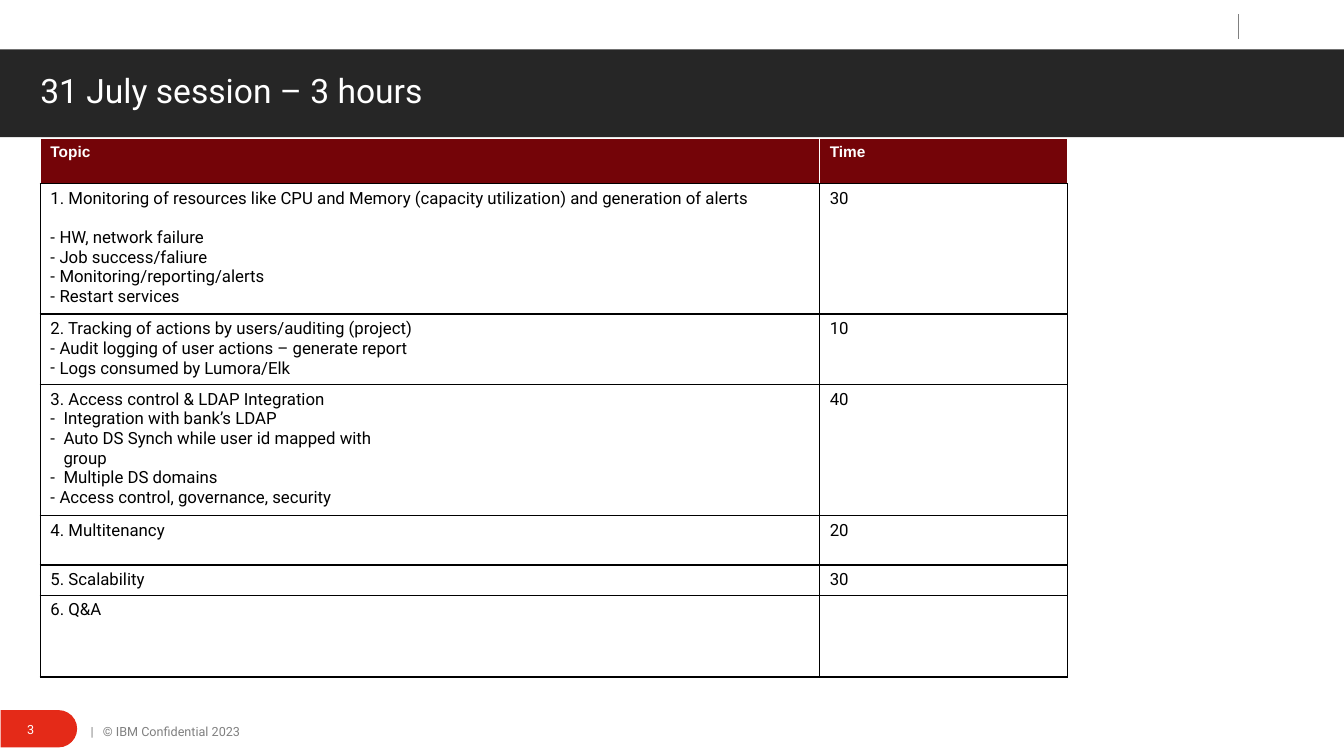
from dataclasses import dataclass

from lxml.etree import SubElement
from pptx import Presentation
from pptx.dml.color import RGBColor
from pptx.enum.shapes import MSO_CONNECTOR, MSO_SHAPE
from pptx.enum.text import MSO_ANCHOR
from pptx.oxml.ns import qn
from pptx.util import Inches, Pt


@dataclass(frozen=True)
class Theme:
    white: str = "FFFFFF"
    black: str = "000000"
    grey: str = "808080"
    band: str = "262626"
    header: str = "740408"
    accent: str = "E42A18"
    font: str = "Roboto"
    header_font: str = "Arial"
    title_size: float = 24
    body_size: float = 12
    header_size: float = 11
    footer_size: float = 9


@dataclass(frozen=True)
class Line:
    text: str
    hang: float = 0  # width of the dash column; 0 means no dash
    gap_after: float = 0


@dataclass(frozen=True)
class Topic:
    lines: tuple[Line, ...]
    time: str
    height: float


THEME = Theme()
NARROW, WIDE = 0.09, 0.13
COLUMN_WIDTHS = (7.73, 2.46)
HEADER_HEIGHT = 0.45

TOPICS = (
    Topic((Line("1. Monitoring of resources like CPU and Memory (capacity utilization) "
                "and generation of alerts", gap_after=14),
           Line("HW, network failure", NARROW),
           Line("Job success/faliure", NARROW),
           Line("Monitoring/reporting/alerts", NARROW),
           Line("Restart services", NARROW)), "30", 1.29),
    Topic((Line("2. Tracking of actions by users/auditing (project)"),
           Line("Audit logging of user actions – generate report", NARROW),
           Line("Logs consumed by Lumora/Elk", NARROW)), "10", 0.68),
    Topic((Line("3. Access control & LDAP Integration"),
           Line("Integration with bank’s LDAP", WIDE),
           Line("Auto DS Synch while user id mapped with\vgroup", WIDE),
           Line("Multiple DS domains", WIDE),
           Line("Access control, governance, security", NARROW)), "40", 1.27),
    Topic((Line("4. Multitenancy"),), "20", 0.49),
    Topic((Line("5. Scalability"),), "30", 0.29),
    Topic((Line("6. Q&A"),), "", 0.81),
)


def rgb(color: str) -> RGBColor:
    return RGBColor.from_string(color)


def write(frame, *lines: Line, size: float = THEME.body_size, color: str = THEME.black,
          font: str = THEME.font, bold: bool = False, spacing: float = 1,
          tab: float = 0) -> None:
    """Fill a text frame with lines, some of them dashed, in one format."""
    for index, line in enumerate(lines):
        paragraph = frame.paragraphs[0] if index == 0 else frame.add_paragraph()
        paragraph.text = line.text
        paragraph.line_spacing = spacing
        paragraph.space_after = Pt(line.gap_after)
        properties = paragraph._p.get_or_add_pPr()
        if line.hang:
            properties.set("marL", str(Inches(line.hang)))
            properties.set("indent", str(-Inches(line.hang)))
            SubElement(properties, qn("a:buFont"), typeface=font)
            SubElement(properties, qn("a:buChar"), char="-")
        if tab:
            stops = SubElement(properties, qn("a:tabLst"))
            SubElement(stops, qn("a:tab"), pos=str(Inches(tab)), algn="l")
        paragraph.font.size = Pt(size)
        for run in paragraph.runs:
            run.font.size = Pt(size)
            run.font.name = font
            run.font.bold = bold
            run.font.color.rgb = rgb(color)


def add_text(slide, text: str, left: float, top: float, width: float, height: float,
             inset: float = 0, anchor=MSO_ANCHOR.MIDDLE, **text_format) -> None:
    frame = slide.shapes.add_textbox(Inches(left), Inches(top),
                                     Inches(width), Inches(height)).text_frame
    frame.word_wrap = True
    frame.vertical_anchor = anchor
    frame.margin_left = Inches(inset)
    write(frame, Line(text), **text_format)


def add_block(slide, kind: MSO_SHAPE, left: float, top: float, width: float,
              height: float, color: str):
    block = slide.shapes.add_shape(kind, Inches(left), Inches(top),
                                   Inches(width), Inches(height))
    block.shadow.inherit = False
    block.fill.solid()
    block.fill.fore_color.rgb = rgb(color)
    block.line.fill.background()
    return block


def set_borders(cell, sides: str, bottom: str) -> None:
    properties = cell._tc.get_or_add_tcPr()
    for edge, color in zip("LRTB", (sides, sides, sides, bottom)):
        border = SubElement(properties, qn(f"a:ln{edge}"), w=str(Pt(1)))
        SubElement(SubElement(border, qn("a:solidFill")), qn("a:srgbClr"), val=color)


def add_agenda(slide, left: float, top: float) -> None:
    heights = (HEADER_HEIGHT, *(topic.height for topic in TOPICS))
    agenda = slide.shapes.add_table(
        len(heights), len(COLUMN_WIDTHS), Inches(left), Inches(top),
        Inches(sum(COLUMN_WIDTHS)), Inches(sum(heights))).table
    for column, width in zip(agenda.columns, COLUMN_WIDTHS):
        column.width = Inches(width)
    for row, height in zip(agenda.rows, heights):
        row.height = Inches(height)

    # Header row
    for cell, heading in zip(agenda.rows[0].cells, ("Topic", "Time")):
        set_borders(cell, THEME.white, THEME.black)
        cell.fill.solid()
        cell.fill.fore_color.rgb = rgb(THEME.header)
        write(cell.text_frame, Line(heading), size=THEME.header_size,
              color=THEME.white, font=THEME.header_font, bold=True)

    # Topic rows
    for number, topic in enumerate(TOPICS, start=1):
        for cell, lines in zip(agenda.rows[number].cells,
                               (topic.lines, (Line(topic.time),))):
            set_borders(cell, THEME.black, THEME.black)
            cell.fill.background()
            write(cell.text_frame, *lines)


def main() -> None:
    deck = Presentation()
    deck.slide_width, deck.slide_height = Inches(13.33), Inches(7.5)
    slide = deck.slides.add_slide(deck.slide_layouts[6])

    # Page number and footer
    page_tab = add_block(slide, MSO_SHAPE.ROUND_2_SAME_RECTANGLE,
                         0.2, 6.85, 0.37, 0.76, THEME.accent)
    page_tab.adjustments[0] = 0.5
    page_tab.rotation = 90
    add_text(slide, "3", 0.17, 7.04, 0.59, 0.4, inset=0.1,
             size=THEME.footer_size, color=THEME.white)
    add_text(slide, "|\t© IBM Confidential 2023", 0.9, 7.13, 1.99, 0.25,
             size=THEME.footer_size, color=THEME.grey, tab=0.12)

    # Divider at the top right
    divider = slide.shapes.add_connector(MSO_CONNECTOR.STRAIGHT, Inches(12.28),
                                         Inches(0.14), Inches(12.28), Inches(0.39))
    divider.line.color.rgb = rgb(THEME.grey)
    divider.line.width = Pt(0.5)
    SubElement(divider._element.spPr, qn("a:effectLst"))

    # Title band
    add_block(slide, MSO_SHAPE.RECTANGLE, 0, 0.49, 13.33, 0.87, THEME.band)
    add_text(slide, "31 July session – 3 hours", 0.4, 0.69, 12.93, 0.47,
             anchor=MSO_ANCHOR.TOP, size=THEME.title_size, color=THEME.white,
             spacing=0.9)

    add_agenda(slide, 0.4, 1.37)
    deck.save("out.pptx")


if __name__ == "__main__":
    main()
